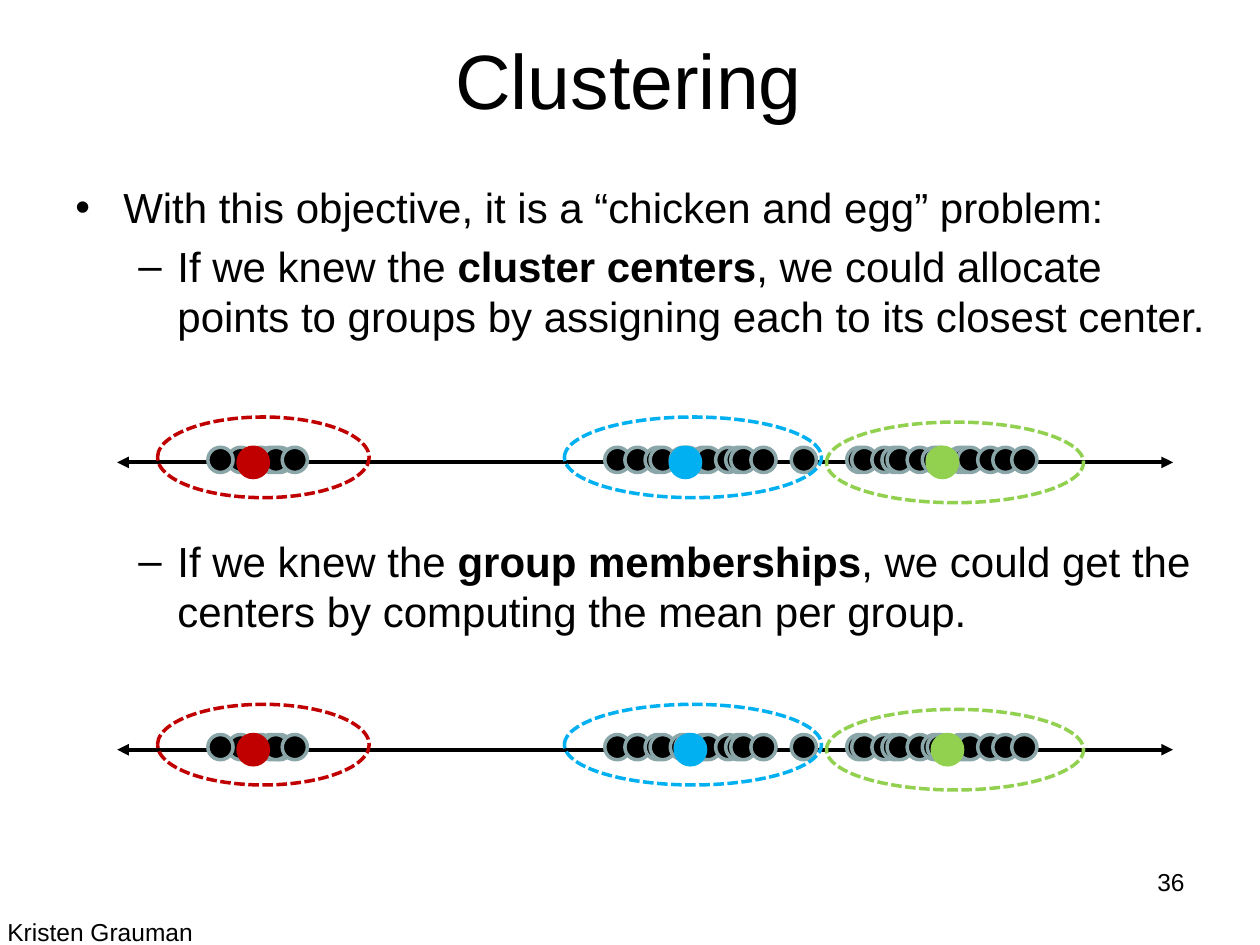
from lxml import etree
from pptx import Presentation
from pptx import util as u
from pptx.dml.color import RGBColor
from pptx.enum import dml, shapes, text
from pptx.oxml.ns import qn

FONT = "Arial"
BLACK, GREY = "000000", "8AA6A8"
RED, BLUE, GREEN = "C00000", "00B0F0", "92D050"

# (bullet, left margin, hanging indent, space before in points, runs as (text, bold))
BODY = [
    ("•", 0.38, 0.38, 0, [
        ("With this objective, it is a “chicken and egg” problem:", False)]),
    ("–", 0.81, 0.31, 5, [
        ("If we knew the ", False), ("cluster centers", True),
        (", we could allocate points to groups by assigning each "
         "to its closest center.", False)]),
    ("–", 0.81, 0.31, 111, [
        ("If we knew the ", False), ("group memberships", True),
        (", we could get the centers by computing the mean per group.", False)]),
]

# Left edges of the data points, in drawing order
POINTS = [
    1.81, 1.97, 1.65, 2.12, 4.8, 4.96, 5.12, 5.16, 5.32, 5.36, 2.05, 2.09,
    2.24, 6.72, 6.76, 6.92, 7, 7.04, 7.2, 5.48, 5.52, 5.68, 5.76, 5.8, 5.96,
    6.28, 7.32, 7.36, 7.52, 7.56, 7.6, 7.76, 7.88, 8.03,
]
POINT_SIZE, CENTER_SIZE = 0.2, 0.24
AXIS = (0.93, 9.31)
# (colour, left, offset from the points' top, width)
OUTLINES = [(RED, 1.25, -0.24, 1.68), (BLUE, 4.48, -0.24, 2.04),
            (GREEN, 6.56, -0.2, 2.04)]
OUTLINE_HEIGHT = 0.64
# (top of the points, left edges of the centers, outlines in front)
NUMBER_LINES = [(3.55, (1.89, 5.32, 7.36), True),
                (5.83, (1.89, 5.36, 7.4), False)]


def color(hex_string):
    return RGBColor.from_string(hex_string)


def add_run(paragraph, content, size=24, bold=False):
    run = paragraph.add_run()
    run.text = content
    run.font.name, run.font.size, run.font.bold = FONT, u.Pt(size), bold
    run.font.color.rgb = color(BLACK)


def add_box(slide, left, top, width, height, anchor=text.MSO_ANCHOR.TOP):
    frame = slide.shapes.add_textbox(
        *map(u.Inches, (left, top, width, height))).text_frame
    frame.word_wrap = True
    frame.vertical_anchor = anchor
    return frame


def add_label(slide, content, box, size=14, align=text.PP_ALIGN.LEFT, **options):
    paragraph = add_box(slide, *box, **options).paragraphs[0]
    paragraph.alignment = align
    add_run(paragraph, content, size)


def set_bullet(paragraph, bullet, margin, hanging):
    properties = paragraph._p.get_or_add_pPr()
    properties.set("marL", str(u.Inches(margin)))
    properties.set("indent", str(-u.Inches(hanging)))
    etree.SubElement(properties, qn("a:buFont"), typeface=FONT)
    etree.SubElement(properties, qn("a:buChar"), char=bullet)


def add_body(slide):
    frame = add_box(slide, 0.5, 1.39, 9.21, 4.95)
    for index, (bullet, margin, hanging, before, runs) in enumerate(BODY):
        paragraph = frame.add_paragraph() if index else frame.paragraphs[0]
        set_bullet(paragraph, bullet, margin, hanging)
        if before:
            paragraph.space_before = u.Pt(before)
        for content, bold in runs:
            add_run(paragraph, content, bold=bold)


def add_ellipse(parent, left, top, width, height, line, fill=None):
    """Draw a filled dot, or a dashed outline when there is no fill."""
    ellipse = parent.shapes.add_shape(
        shapes.MSO_SHAPE.OVAL, *map(u.Inches, (left, top, width, height)))
    ellipse.shadow.inherit = False
    ellipse.line.color.rgb = color(line)
    ellipse.line.width = u.Pt(2)
    if fill:
        ellipse.fill.solid()
        ellipse.fill.fore_color.rgb = color(fill)
    else:
        ellipse.fill.background()
        ellipse.line.dash_style = dml.MSO_LINE.SQUARE_DOT


def add_axis(parent, y):
    left, right = AXIS
    axis = parent.shapes.add_connector(
        shapes.MSO_CONNECTOR.STRAIGHT, *map(u.Inches, (left, y, right, y)))
    axis.line.color.rgb = color(BLACK)
    axis.line.width = u.Pt(2.25)
    line = axis.line._get_or_add_ln()
    for end in ("a:headEnd", "a:tailEnd"):
        etree.SubElement(line, qn(end), type="triangle")
    etree.SubElement(axis._element.spPr, qn("a:effectLst"))


def add_outlines(slide, top):
    for line, left, offset, width in OUTLINES:
        add_ellipse(slide, left, top + offset, width, OUTLINE_HEIGHT, line)


def add_centers(slide, top, centers):
    for left, (fill, *_) in zip(centers, OUTLINES):
        add_ellipse(slide, left, top, CENTER_SIZE, CENTER_SIZE, fill, fill)


def add_number_line(slide, top, centers, outlines_in_front):
    group = slide.shapes.add_group_shape()
    add_axis(group, top + CENTER_SIZE / 2)
    for left in POINTS:
        add_ellipse(group, left, top, POINT_SIZE, POINT_SIZE, GREY, BLACK)
    if not outlines_in_front:
        add_outlines(slide, top)
    add_centers(slide, top, centers)
    if outlines_in_front:
        add_outlines(slide, top)


def main():
    presentation = Presentation()
    presentation.slide_width, presentation.slide_height = u.Inches(10), u.Inches(7.5)
    slide = presentation.slides.add_slide(presentation.slide_layouts[6])
    add_label(slide, "Clustering", (0.49, 0, 9, 1.25), size=44,
              align=text.PP_ALIGN.CENTER, anchor=text.MSO_ANCHOR.MIDDLE)
    add_body(slide)
    for number_line in NUMBER_LINES:
        add_number_line(slide, *number_line)
    add_label(slide, "Kristen Grauman", (-0.04, 7.23, 2.81, 0.34))
    add_label(slide, "36", (7.17, 6.83, 2.33, 0.52), align=text.PP_ALIGN.RIGHT)
    presentation.save("out.pptx")


if __name__ == "__main__":
    main()
